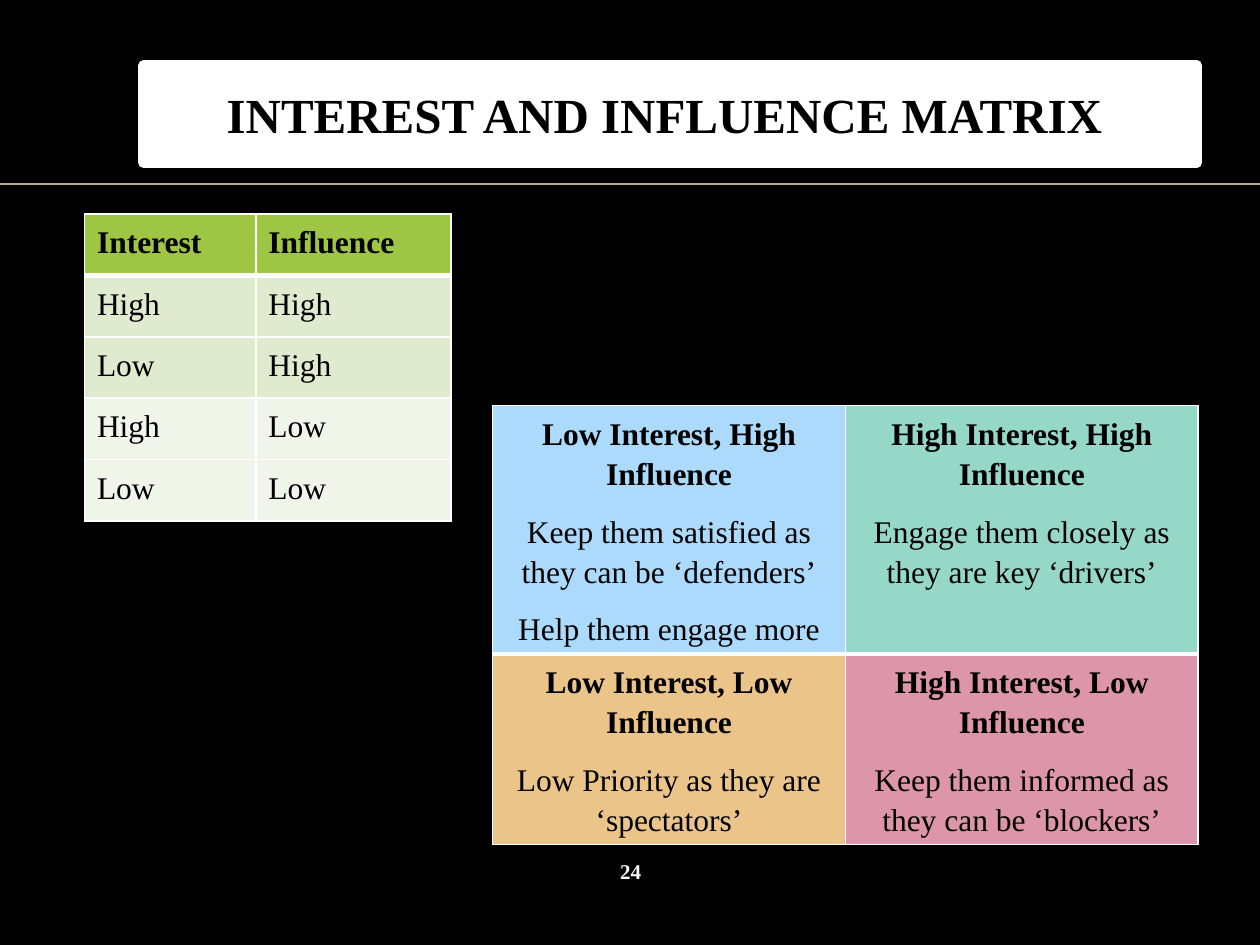
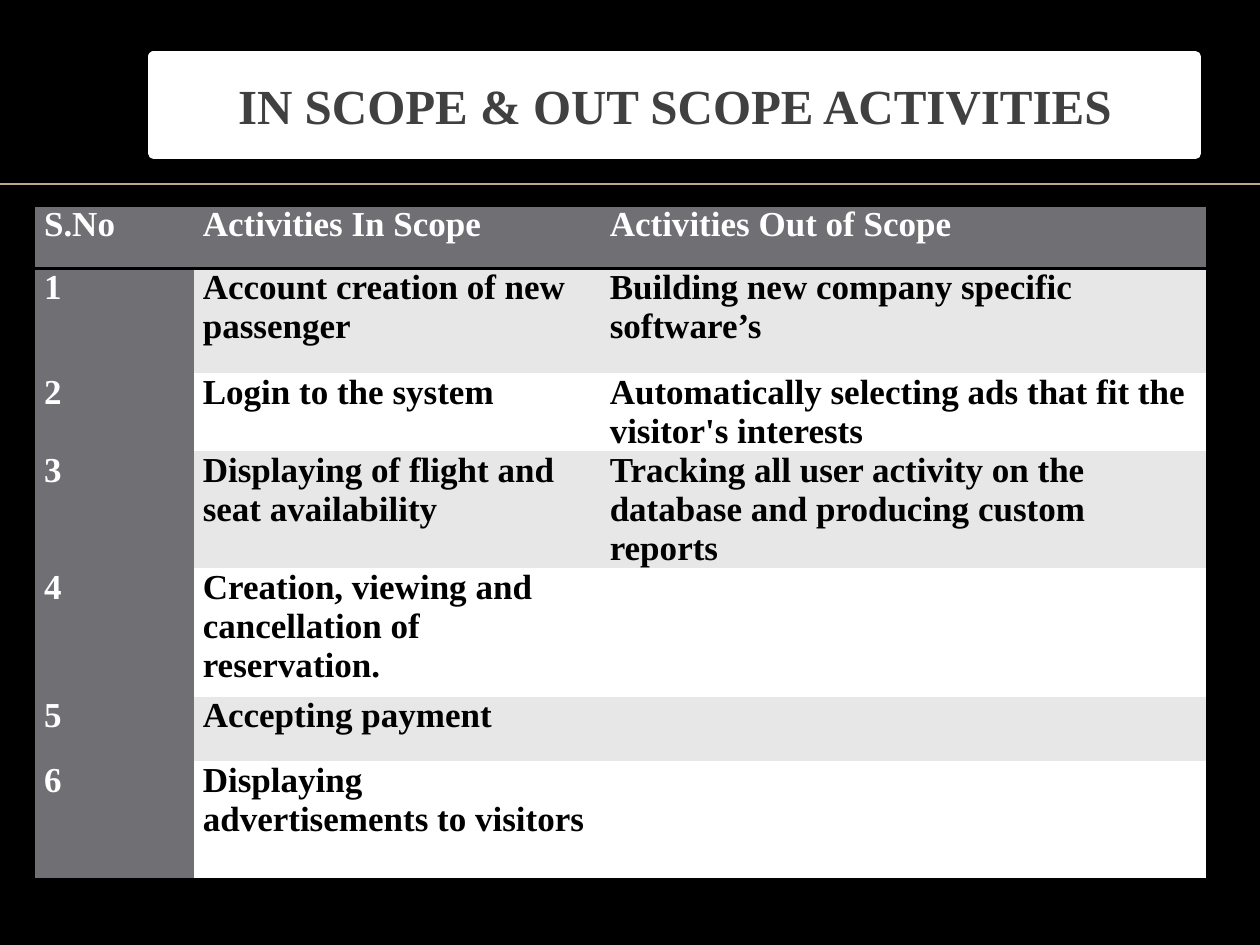
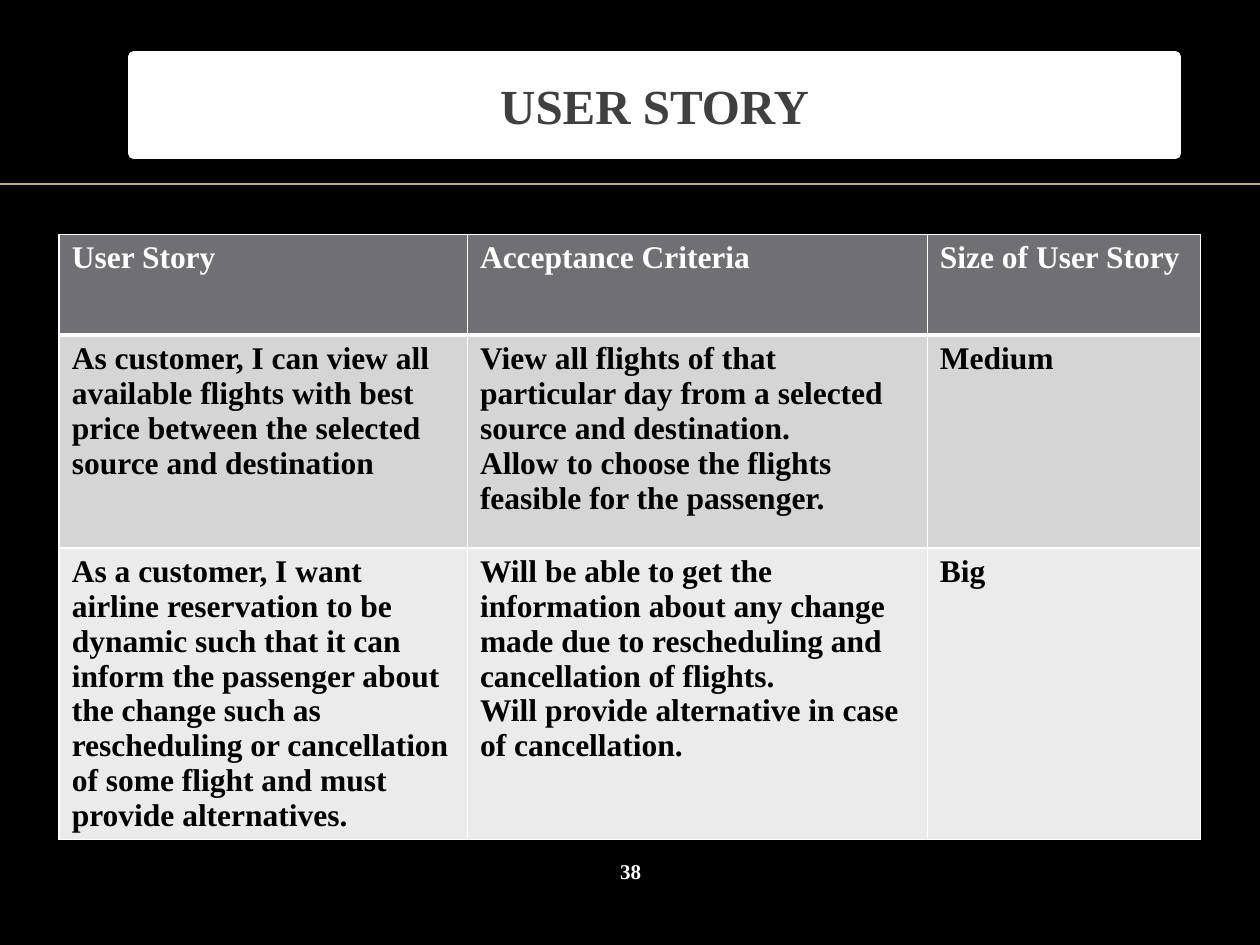
from dataclasses import dataclass
from typing import Callable

from lxml import etree
from pptx import Presentation
from pptx import util as u
from pptx.dml.color import RGBColor
from pptx.enum import shapes, text
from pptx.oxml import ns

# Shared look
FACE = "Times New Roman"
BLACK = RGBColor(0x00, 0x00, 0x00)
WHITE = RGBColor(0xFF, 0xFF, 0xFF)
DARK = RGBColor(0x40, 0x40, 0x40)
SAND = RGBColor(0xBB, 0xAA, 0x8A)
SLATE = RGBColor(0x6F, 0x6F, 0x74)
SILVER = RGBColor(0xE7, 0xE7, 0xE7)
ASH = RGBColor(0xD5, 0xD5, 0xD6)
PEARL = RGBColor(0xEB, 0xEB, 0xEB)
LIME = RGBColor(0x9E, 0xC5, 0x44)
SAGE = RGBColor(0xDF, 0xEA, 0xCF)
MIST = RGBColor(0xF0, 0xF5, 0xE9)
SKY = RGBColor(0xAB, 0xDA, 0xFC)
MINT = RGBColor(0x96, 0xD8, 0xC8)
AMBER = RGBColor(0xEB, 0xC4, 0x8A)
ROSE = RGBColor(0xDC, 0x95, 0xAA)

WIDE, HIGH = u.Inches(10), u.Inches(7.5)
PLAIN = "{2D5ABB26-0587-4C30-8999-92F81FD0307C}"  # table style without lines


@dataclass
class Grid:
    """A table; newlines in a cell part its paragraphs."""
    left: float
    top: float
    cols: list[float]
    rows: list[float]
    cells: list[list[str]]
    fills: list[list[RGBColor]]
    rules: list[float]  # widths of the level lines, from top to bottom
    side: float = 1  # width of the upright lines
    line: RGBColor = WHITE
    size: int = 18
    bold: Callable[[int, int], bool] = lambda row, para: True
    align: text.PP_ALIGN = text.PP_ALIGN.LEFT
    pad: tuple[float, float] = (0.1, 0.05)
    airy: bool = False


@dataclass
class Page:
    title: str
    left: float
    top: float
    width: float
    ink: RGBColor
    grids: list[Grid]
    number: str = ""


def style(para, size: int, ink: RGBColor, bold: bool, align) -> None:
    para.alignment = align
    font = para.font
    font.name, font.size, font.bold = FACE, u.Pt(size), bold
    font.color.rgb = ink


def edge(cell, side: str, width: float, ink: RGBColor) -> None:
    props = cell._tc.get_or_add_tcPr()
    line = etree.SubElement(props, ns.qn(f"a:ln{side}"), w=str(u.Pt(width)))
    if width:
        fill = etree.SubElement(line, ns.qn("a:solidFill"))
        etree.SubElement(fill, ns.qn("a:srgbClr"), val=str(ink))
    else:
        etree.SubElement(line, ns.qn("a:noFill"))


def draw_cell(cell, grid: Grid, row: int, col: int) -> None:
    for side, width in (("L", grid.side), ("R", grid.side),
                        ("T", grid.rules[row]), ("B", grid.rules[row + 1])):
        edge(cell, side, width, grid.line)
    fill = grid.fills[row][col]
    cell.fill.solid()
    cell.fill.fore_color.rgb = fill
    cell.margin_left = cell.margin_right = u.Inches(grid.pad[0])
    cell.margin_top = cell.margin_bottom = u.Inches(grid.pad[1])
    cell.text = grid.cells[row][col]
    ink = WHITE if fill == SLATE else BLACK
    for i, para in enumerate(cell.text_frame.paragraphs):
        if grid.airy:
            para.line_spacing, para.space_after = 1.15, u.Pt(10)
        style(para, grid.size, ink, grid.bold(row, i), grid.align)


def draw_grid(slide, grid: Grid) -> None:
    frame = slide.shapes.add_table(
        len(grid.rows), len(grid.cols), u.Inches(grid.left), u.Inches(grid.top),
        u.Inches(sum(grid.cols)), u.Inches(sum(grid.rows)))
    table = frame.table
    table.first_row = table.horz_banding = False
    table._tbl.tblPr.find(ns.qn("a:tableStyleId")).text = PLAIN
    for col, width in zip(table.columns, grid.cols):
        col.width = u.Inches(width)
    for row, height in zip(table.rows, grid.rows):
        row.height = u.Inches(height)
    for r in range(len(grid.rows)):
        for c in range(len(grid.cols)):
            draw_cell(table.cell(r, c), grid, r, c)


def draw_rule(slide) -> None:
    y = u.Inches(1.46)
    rule = slide.shapes.add_connector(shapes.MSO_CONNECTOR.STRAIGHT, 0, y, WIDE, y)
    rule.line.color.rgb, rule.line.width = SAND, u.Pt(1)
    etree.SubElement(rule._element.spPr, ns.qn("a:effectLst"))


def draw_title(slide, page: Page) -> None:
    box = slide.shapes.title
    box.left, box.top = u.Inches(page.left), u.Inches(page.top)
    box.width, box.height = u.Inches(page.width), u.Inches(0.77)
    box.fill.solid()
    box.fill.fore_color.rgb = WHITE
    box.line.color.rgb, box.line.width = WHITE, u.Pt(6)
    frame = box.text_frame
    frame.text = page.title
    frame.auto_size = text.MSO_AUTO_SIZE.NONE
    frame.vertical_anchor = text.MSO_ANCHOR.MIDDLE
    style(frame.paragraphs[0], 28, page.ink, True, text.PP_ALIGN.CENTER)


def draw_number(slide, number: str) -> None:
    box = slide.shapes.add_textbox(
        u.Inches(4.42), u.Inches(6.75), u.Inches(1.17), u.Inches(0.33))
    frame = box.text_frame
    frame.word_wrap = True
    frame.vertical_anchor = text.MSO_ANCHOR.MIDDLE
    frame.margin_left = frame.margin_right = 0
    frame.margin_top = frame.margin_bottom = 0
    frame.text = number
    style(frame.paragraphs[0], 12, WHITE, True, text.PP_ALIGN.CENTER)


# Slide 1: levels and the four groups
LEVELS = Grid(
    0.67, 1.7, [1.36, 1.55], [0.487] * 5,
    [["Interest", "Influence"], ["High", "High"], ["Low", "High"],
     ["High", "Low"], ["Low", "Low"]],
    [[ink] * 2 for ink in (LIME, SAGE, SAGE, MIST, MIST)],
    [1, 3, 1, 1, 1, 1], bold=lambda row, para: row == 0, airy=True)

GROUPS = Grid(
    3.91, 3.22, [2.8, 2.8], [1.97, 1.51],
    [["Low Interest, High Influence\n"
      "Keep them satisfied as they can be ‘defenders’\nHelp them engage more",
      "High Interest, High Influence\n"
      "Engage them closely as they are key ‘drivers’"],
     ["Low Interest, Low Influence\nLow Priority as they are ‘spectators’",
      "High Interest, Low Influence\n"
      "Keep them informed as they can be ‘blockers’"]],
    [[SKY, MINT], [AMBER, ROSE]], [1, 3, 1],
    bold=lambda row, para: para == 0, align=text.PP_ALIGN.CENTER, airy=True)

# Slide 2: scope
SCOPE = Grid(
    0.28, 1.63, [1.26, 3.23, 4.8], [0.5, 0.83, 0.62, 0.93, 1.02, 0.51, 0.94],
    [["S.No", "Activities In Scope", "Activities Out of Scope"],
     ["1", "Account creation of new passenger",
      "Building new company specific software’s"],
     ["2", "Login to the system",
      "Automatically selecting ads that fit the visitor's interests"],
     ["3", "Displaying of flight and seat availability",
      "Tracking all user activity on the database and producing custom reports"],
     ["4", "Creation, viewing and cancellation of reservation.", ""],
     ["5", "Accepting payment", ""],
     ["6", "Displaying advertisements to visitors", ""]],
    [[SLATE] * 3] + [[SLATE, ink, ink] for ink in (SILVER, WHITE) * 3],
    [2, 2, 0, 0, 0, 0, 0, 2], side=0, line=BLACK, size=20, pad=(0.07, 0))

# Slide 3: stories
STORIES = Grid(
    0.47, 1.86, [3.24, 3.65, 2.17], [0.8, 1.69, 2.31],
    [["User Story", "Acceptance Criteria", "Size of User Story"],
     ["As customer, I can view all available flights with best price between "
      "the selected source and destination",
      "View all flights of that particular day from a selected source and "
      "destination.\nAllow to choose the flights feasible for the passenger.",
      "Medium"],
     ["As a customer, I want airline reservation to be dynamic such that it "
      "can inform the passenger about the change such as rescheduling or "
      "cancellation of some flight and must provide alternatives.",
      "Will be able to get the information about any change made due to "
      "rescheduling and cancellation of flights.\n"
      "Will provide alternative in case of cancellation.",
      "Big"]],
    [[ink] * 3 for ink in (SLATE, ASH, PEARL)], [1, 3, 1, 1])

PAGES = [
    Page("INTEREST AND INFLUENCE MATRIX ", 1.14, 0.52, 8.36, BLACK,
         [LEVELS, GROUPS], "24"),
    Page("IN SCOPE & OUT SCOPE ACTIVITIES", 1.22, 0.45, 8.27, DARK, [SCOPE]),
    Page("USER STORY", 1.06, 0.45, 8.27, DARK, [STORIES], "38"),
]


def main() -> None:
    deck = Presentation()
    deck.slide_width, deck.slide_height = WIDE, HIGH
    back = deck.slide_master.background.fill
    back.solid()
    back.fore_color.rgb = BLACK
    for page in PAGES:
        slide = deck.slides.add_slide(deck.slide_layouts[5])
        draw_rule(slide)
        draw_title(slide, page)
        for grid in page.grids:
            draw_grid(slide, grid)
        if page.number:
            draw_number(slide, page.number)
    deck.save("out.pptx")


if __name__ == "__main__":
    main()
